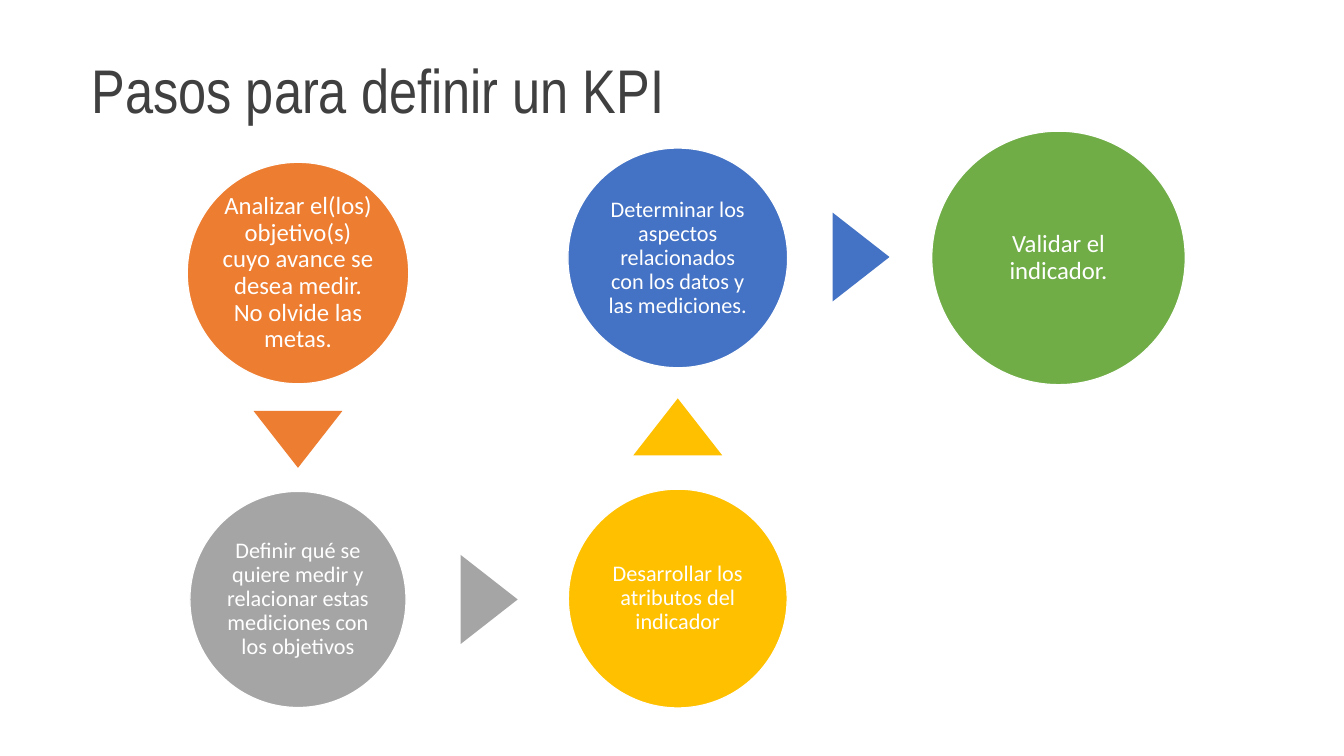
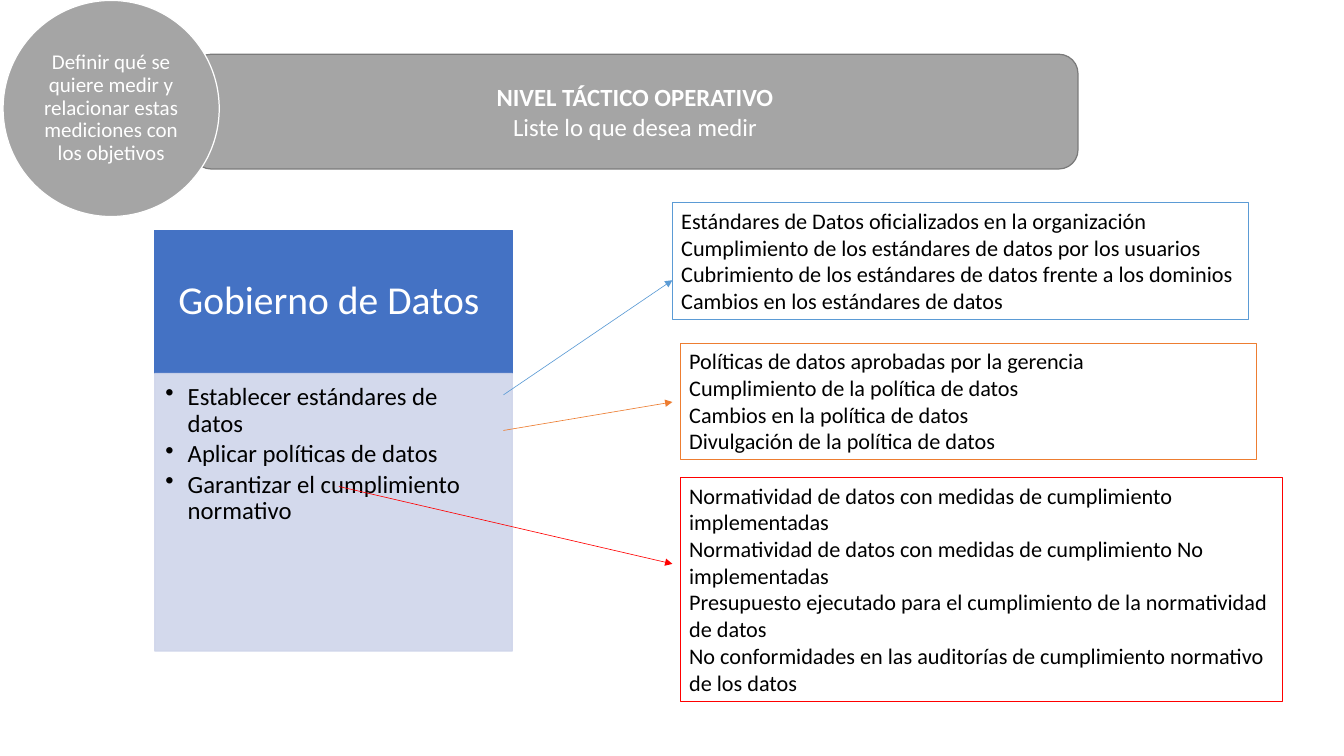
from lxml.etree import SubElement
from pptx import Presentation
from pptx.dml.color import RGBColor
from pptx.enum.shapes import MSO_CONNECTOR, MSO_SHAPE as Preset
from pptx.enum.text import MSO_ANCHOR as Anchor, PP_ALIGN as Align
from pptx.oxml.ns import qn
from pptx.util import Inches, Pt

WHITE = RGBColor(0xFF, 0xFF, 0xFF)
BLACK = RGBColor(0, 0, 0)
CHARCOAL = RGBColor(0x40, 0x40, 0x40)
ORANGE = RGBColor(0xED, 0x7D, 0x31)
GRAY = RGBColor(0xA5, 0xA5, 0xA5)
DARK_GRAY = RGBColor(0x7A, 0x7A, 0x7A)
YELLOW = RGBColor(0xFF, 0xC0, 0x00)
BLUE = RGBColor(0x44, 0x72, 0xC4)
GREEN = RGBColor(0x70, 0xAD, 0x47)
PALE_BLUE = RGBColor(0xCF, 0xD5, 0xEA)
SKY = RGBColor(0x5B, 0x9B, 0xD5)
RED = RGBColor(0xFF, 0, 0)

TITLE_FONT, BODY_FONT = "Arial Narrow", "Calibri"
DEFAULT_INSETS = (0.1, 0.05, 0.1, 0.05)

TITLE = "Pasos para definir un KPI"
DEFINE_STEP = "Definir qué se quiere medir y relacionar estas mediciones con los objetivos"
COLUMNS = (3.35, 7.62, 11.9)
STEPS = [
    ("Analizar el(los) objetivo(s) cuyo avance se desea medir. No olvide las metas.",
     ORANGE, 0, 3.07, 2.49, 20),
    (DEFINE_STEP, GRAY, 0, 6.74, 2.43, 18),
    ("Desarrollar los atributos del indicador", YELLOW, 1, 6.73, 2.46, 18),
    ("Determinar los aspectos relacionados con los datos y las mediciones.",
     BLUE, 1, 2.9, 2.47, 18),
    ("Validar el indicador.", GREEN, 2, 2.9, 2.85, 20),
]
POINTERS = [
    (ORANGE, 3.35, 4.94, 180),
    (GRAY, 5.5, 6.74, 90),
    (YELLOW, 7.62, 4.8, 0),
    (BLUE, 9.68, 2.89, 90),
]

LEVEL = ["NIVEL TÁCTICO OPERATIVO", "Liste lo que desea medir"]
GOVERNANCE = "Gobierno de Datos "
GOALS = [
    "Establecer estándares de datos",
    "Aplicar políticas de datos",
    "Garantizar el cumplimiento normativo",
]
MEASURES = [
    dict(color=SKY, start=(5.66, 4.44), end=(7.56, 3.15),
         box=(7.56, 2.28, 6.48, 1.31), border=1, fill=WHITE, wrap=False, items=[
             "Estándares de Datos oficializados en la organización",
             "Cumplimiento de los estándares de datos por los usuarios",
             "Cubrimiento de los estándares de datos frente a los dominios",
             "Cambios en los estándares de datos"]),
    dict(color=ORANGE, start=(5.66, 4.84), end=(7.56, 4.52),
         box=(7.65, 3.86, 6.48, 1.31), border=0.75, fill=None, wrap=True, items=[
             "Políticas de datos aprobadas por la gerencia",
             "Cumplimiento de la política de datos",
             "Cambios en la política de datos",
             "Divulgación de la política de datos"]),
    dict(color=RED, start=(3.81, 5.47), end=(7.56, 6.34),
         box=(7.65, 5.37, 6.77, 2.52), border=0.75, fill=None, wrap=True, items=[
             "Normatividad de datos con medidas de cumplimiento implementadas",
             "Normatividad de datos con medidas de cumplimiento No implementadas",
             "Presupuesto ejecutado para el cumplimiento de la normatividad de datos",
             "No conformidades en las auditorías de cumplimiento normativo de los datos"]),
]


def write(shape, lines, *, size, color=WHITE, font=BODY_FONT, align=Align.CENTER,
          anchor=Anchor.MIDDLE, insets=DEFAULT_INSETS, spacing=1.0, after=0,
          bold_first=False, bullets=False, wrap=True):
    frame = shape.text_frame
    frame.word_wrap = wrap
    frame.vertical_anchor = anchor
    (frame.margin_left, frame.margin_top,
     frame.margin_right, frame.margin_bottom) = map(Inches, insets)
    for i, line in enumerate(lines):
        paragraph = frame.add_paragraph() if i else frame.paragraphs[0]
        paragraph.alignment = align
        paragraph.line_spacing = spacing
        paragraph.space_after = Pt(after)
        if bullets:
            properties = paragraph._p.get_or_add_pPr()
            properties.set("marL", str(Inches(0.25)))
            properties.set("indent", str(Inches(-0.25)))
            SubElement(properties, qn("a:buChar"), char="•")
        run = paragraph.add_run()
        run.text = line
        run.font.name = font
        run.font.size = Pt(size)
        run.font.color.rgb = color
        run.font.bold = bold_first and i == 0


def add_alpha(fill_format, percent):
    color = fill_format._xPr.find(qn("a:solidFill"))[0]
    SubElement(color, qn("a:alpha"), val=str(percent * 1000))


def draw(slide, preset, box, fill, border=None, weight=1, alpha=None):
    shape = slide.shapes.add_shape(preset, *map(Inches, box))
    shape.shadow.inherit = False
    if fill is None:
        shape.fill.background()
    else:
        shape.fill.solid()
        shape.fill.fore_color.rgb = fill
    if border is None:
        shape.line.fill.background()
    else:
        shape.line.color.rgb = border
        shape.line.width = Pt(weight)
    if alpha:
        add_alpha(shape.fill, alpha)
        add_alpha(shape.line.fill, alpha)
    return shape


def draw_step(slide, text, color, center_x, center_y, diameter, size):
    radius = diameter / 2
    circle = draw(slide, Preset.OVAL,
                  (center_x - radius, center_y - radius, diameter, diameter), color, WHITE)
    write(circle, [text], size=size, insets=(0.03,) * 4, spacing=0.9)


def draw_arrow(slide, start, end, color):
    arrow = slide.shapes.add_connector(
        MSO_CONNECTOR.STRAIGHT, *map(Inches, start + end))
    arrow.line.color.rgb = color
    arrow.line.width = Pt(0.5)
    SubElement(arrow.line._get_or_add_ln(), qn("a:tailEnd"), type="triangle")
    SubElement(arrow._element.spPr, qn("a:effectLst"))


def build_steps(slide):
    title = slide.shapes.add_textbox(*map(Inches, (0.93, 0.34, 11.72, 1.42)))
    write(title, [TITLE], size=49.9, color=CHARCOAL, font=TITLE_FONT,
          align=Align.LEFT, spacing=0.9)
    for text, color, column, center_y, diameter, size in STEPS:
        draw_step(slide, text, color, COLUMNS[column], center_y, diameter, size)
    width, height = 1, 0.64
    for color, center_x, center_y, rotation in POINTERS:
        pointer = draw(slide, Preset.ISOSCELES_TRIANGLE,
                       (center_x - width / 2, center_y - height / 2, width, height), color)
        pointer.rotation = rotation


def build_measures(slide):
    banner = draw(slide, Preset.ROUNDED_RECTANGLE, (2.16, 0.61, 9.96, 1.29), GRAY, DARK_GRAY)
    write(banner, LEVEL, size=20, bold_first=True)
    draw_step(slide, DEFINE_STEP, GRAY, 1.25, 1.22, 2.43, 17)

    heading = draw(slide, Preset.RECTANGLE, (1.74, 2.59, 4.02, 1.61), BLUE, BLUE)
    write(heading, [GOVERNANCE], size=32, insets=(0.25, 0.14, 0.25, 0.14), spacing=0.9)
    goals = draw(slide, Preset.RECTANGLE, (1.74, 4.2, 4.02, 3.12),
                 PALE_BLUE, PALE_BLUE, alpha=90)
    write(goals, GOALS, size=20, color=BLACK, align=Align.LEFT, anchor=Anchor.TOP,
          insets=(0.12, 0.12, 0.16, 0.17), spacing=0.9, after=3, bullets=True)

    for measure in MEASURES:
        draw_arrow(slide, measure["start"], measure["end"], measure["color"])
        panel = draw(slide, Preset.RECTANGLE, measure["box"], measure["fill"],
                     measure["color"], measure["border"])
        write(panel, measure["items"], size=18, color=BLACK, align=Align.LEFT,
              anchor=Anchor.TOP, wrap=measure["wrap"])


def main():
    deck = Presentation()
    deck.slide_width, deck.slide_height = Inches(15.11), Inches(8.5)
    for build in (build_steps, build_measures):
        build(deck.slides.add_slide(deck.slide_layouts[6]))
    deck.save("out.pptx")


if __name__ == "__main__":
    main()
